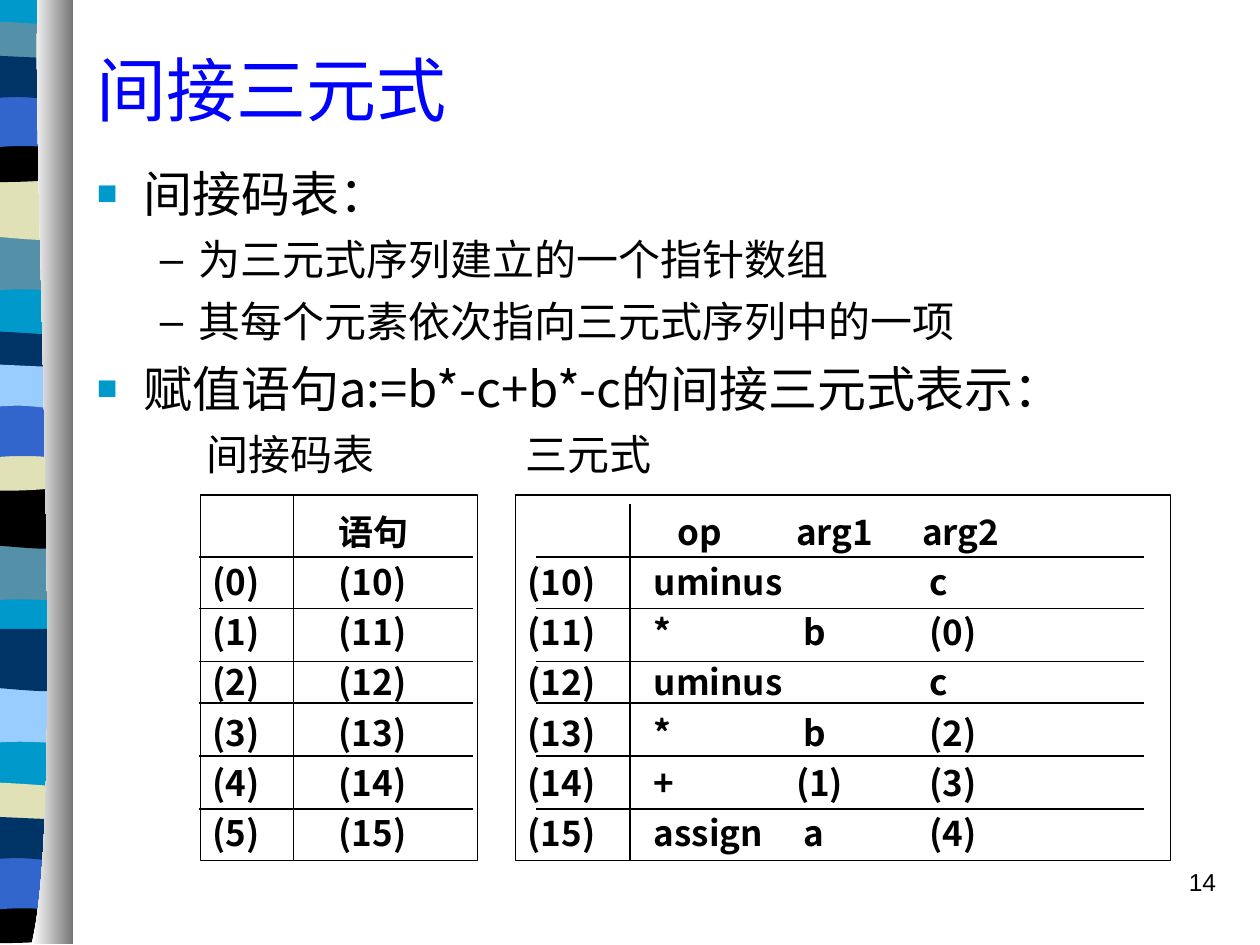
from lxml.etree import SubElement
from pptx import Presentation
from pptx.dml.color import RGBColor
from pptx.enum.shapes import MSO_CONNECTOR, MSO_SHAPE
from pptx.enum.text import MSO_ANCHOR, PP_ALIGN
from pptx.oxml.ns import qn
from pptx.util import Inches, Pt

CJK, LATIN = "Noto Sans CJK SC", "Arial"
BLACK = RGBColor(0x00, 0x00, 0x00)
WHITE = RGBColor(0xFF, 0xFF, 0xFF)
GREY = RGBColor(0x76, 0x76, 0x76)
BLUE = RGBColor(0x00, 0x00, 0xFF)
CYAN = RGBColor(0x00, 0x99, 0xCC)
STEEL = RGBColor(0x54, 0x90, 0xA8)
SAND = RGBColor(0xE1, 0xE1, 0xB7)
ROYAL = RGBColor(0x33, 0x66, 0xCC)
NAVY = RGBColor(0x00, 0x33, 0x66)
SKY = RGBColor(0x99, 0xCC, 0xFF)

TITLE = "间接三元式"
# level, text
OUTLINE = [
    (0, "间接码表："),
    (1, "为三元式序列建立的一个指针数组"),
    (1, "其每个元素依次指向三元式序列中的一项"),
    (0, "赋值语句a:=b*-c+b*-c的间接三元式表示："),
]
CAPTIONS = "\t间接码表\t三元式"
CAPTION_TABS = [0.87, 3.4]
# size, line pitch, space before, left margin, hanging indent, bullet, bullet colour, bullet percent
LEVELS = [
    (28, 33.5, 7, 0.37, -0.37, "■", CYAN, 70),
    (24, 29.4, 6, 0.81, -0.31, "–", BLACK, 100),
]

# Tab stops and cells of each grid row
HEAD_TABS, ROW_TABS, SUM_TABS = [1.19, 2.13, 3.13], [1.0, 2.19, 3.19], [1.0, 2.13, 3.19]
INDIRECT_ROWS = [([1.0], ["", "语句"])] + [([1.0], [f"({i})", f"({i + 10})"]) for i in range(6)]
TRIPLE_ROWS = [
    (HEAD_TABS, ["", "op", "arg1", "arg2"]),
    (ROW_TABS, ["(10)", "uminus", "", "c"]),
    (ROW_TABS, ["(11)", "*", "b", "(0)"]),
    (ROW_TABS, ["(12)", "uminus", "", "c"]),
    (ROW_TABS, ["(13)", "*", "b", "(2)"]),
    (SUM_TABS, ["(14)", "+", "(1)", "(3)"]),
    (ROW_TABS, ["(15)", "assign", "a", "(4)"]),
]
# left, width, rule start, rule end, divider x, divider top, rows
GRIDS = [
    (4.09, 5.2, 4.25, 9.08, 5.0, 4.0, TRIPLE_ROWS),
    (1.59, 2.2, 1.58, 3.75, 2.33, 3.92, INDIRECT_ROWS),
]
GRID_TOP, GRID_HEIGHT = 3.93, 2.9
RULES = [4.42, 4.83, 5.25, 5.58, 6.0, 6.42]

# Ribbon outlines: height, then Bezier curves of the lower and upper edges
LEFT, RIGHT = -0.53, 0.56
WAVES = {
    "swell": (0.47, [(-0.19, 0.39, -0.35, 0.55, LEFT, 0.47)], []),
    "flag": (0.47, [(0.37, 0.55, -0.19, 0.41, LEFT, 0.47)], []),
    "dome": (0.24, [(0.37, 0.28, -0.35, 0.28, LEFT, 0.24)],
             [(-0.46, -0.05, -0.29, -0.04, -0.11, -0.04), (0.07, -0.04, 0.42, -0.01, RIGHT, 0)]),
    "dip": (0.32, [(0.37, 0.38, -0.35, 0.38, LEFT, 0.32)],
            [(0.14, 0.05, 0.33, 0, RIGHT, 0)]),
    "arch": (0.47, [(0.39, 0.42, 0.32, 0.42, 0.14, 0.42),
                    (-0.04, 0.42, -0.36, 0.47, LEFT, 0.47)], []),
    "ribbon": (0.31, [(0.49, 0.36, 0.32, 0.31, 0.14, 0.31),
                      (-0.04, 0.31, -0.42, 0.36, LEFT, 0.31)],
               [(-0.38, -0.05, 0.21, 0, 0.39, 0), (0.57, 0, 0.52, 0, RIGHT, 0)]),
}
BANDS = [
    ("swell", 1.85, STEEL), ("flag", 1.41, SAND), ("dome", 0.21, STEEL),
    ("dip", 1.08, BLACK), ("arch", 0.74, ROYAL), ("ribbon", 0.46, NAVY),
    ("swell", 4.31, STEEL), ("flag", 3.86, BLACK), ("dome", 2.67, NAVY),
    ("dip", 3.53, SAND), ("arch", 3.2, ROYAL), ("ribbon", 2.91, SKY),
    ("swell", 5.44, SKY), ("flag", 4.99, NAVY), ("dome", 6.25, SAND),
    ("dip", 7.12, BLACK), ("arch", 6.79, ROYAL), ("ribbon", 6.5, NAVY),
]
# Segments hold two numbers for a line, six for a curve
EDGE = [(0.3, 0), (0.25, 1.25, 0.53, 6.46, 0.25, 7.49), (0.58, 7.49), (0.58, 0)]

prs = Presentation()
prs.slide_width, prs.slide_height = Inches(10), Inches(7.5)
slide = prs.slides.add_slide(prs.slide_layouts[6])
shapes = slide.shapes


def add_outline(segments, top=0):
    """Closed outline; the control points of each curve are laid as lines, then joined."""
    points = [seg[i:i + 2] for seg in segments for i in range(0, len(seg), 2)]
    start, *rest = [(Inches(x), Inches(y + top)) for x, y in points]
    builder = shapes.build_freeform(*start)
    builder.add_line_segments(rest, close=True)
    outline = builder.convert_to_shape()
    lines = iter(list(outline._element.iter(qn("a:lnTo"))))
    for segment in segments[1:]:
        first = next(lines)
        if len(segment) == 6:
            curve = first.makeelement(qn("a:cubicBezTo"))
            first.addprevious(curve)
            for line in (first, next(lines), next(lines)):
                curve.append(line[0])
                line.getparent().remove(line)
    outline.shadow.inherit = False
    outline.line.fill.background()
    return outline


def add_line(x1, y1, x2, y2):
    line = shapes.add_connector(MSO_CONNECTOR.STRAIGHT, *map(Inches, (x1, y1, x2, y2)))
    line.line.color.rgb, line.line.width = BLACK, Pt(0.75)
    SubElement(line._element.spPr, qn("a:effectLst"))


def add_text(left, top, width, height):
    frame = shapes.add_textbox(*map(Inches, (left, top, width, height))).text_frame
    frame.word_wrap = True
    return frame


def set_tabs(paragraph, stops):
    tabs = SubElement(paragraph._p.get_or_add_pPr(), qn("a:tabLst"))
    for stop in stops:
        SubElement(tabs, qn("a:tab"), pos=str(Inches(stop)), algn="l")


def style(paragraph, size, color=BLACK, font=CJK, bold=False):
    for run in paragraph.runs:
        run.font.size, run.font.name, run.font.bold = Pt(size), font, bold
        run.font.color.rgb = color
        SubElement(run._r.get_or_add_rPr(), qn("a:ea"), typeface=font)


# Wavy ribbon and shaded edge on the left
base = add_outline([(RIGHT, -0.01), (RIGHT, 7.47), (LEFT, 7.47), (LEFT, -0.01)])
base.fill.solid()
base.fill.fore_color.rgb = CYAN
for wave, top, color in BANDS:
    height, lower, upper = WAVES[wave]
    band = add_outline([(RIGHT, 0), (RIGHT, height), *lower, (LEFT, 0), *upper], top)
    band.fill.solid()
    band.fill.fore_color.rgb = color
edge = add_outline(EDGE)
edge.fill.gradient()
edge.fill.gradient_angle = 0
for stop, color in zip(edge.fill.gradient_stops, (WHITE, GREY)):
    stop.color.rgb = color

# Title
title = add_text(0.67, 0.08, 9.12, 1.25)
title.vertical_anchor = MSO_ANCHOR.MIDDLE
title.text = TITLE
style(title.paragraphs[0], 40, BLUE)

# Outline, closed by the captions of the two grids
body = add_text(0.67, 1.25, 9.12, 2.58)
for i, (level, text) in enumerate(OUTLINE):
    size, pitch, before, margin, indent, mark, mark_color, percent = LEVELS[level]
    item = body.paragraphs[0] if i == 0 else body.add_paragraph()
    item.text, item.level = text, level
    item.line_spacing, item.space_before = Pt(pitch), Pt(before if i else 0)
    props = item._p.get_or_add_pPr()
    props.set("marL", str(Inches(margin)))
    props.set("indent", str(Inches(indent)))
    SubElement(SubElement(props, qn("a:buClr")), qn("a:srgbClr"), val=str(mark_color))
    SubElement(props, qn("a:buSzPct"), val=str(percent * 1000))
    SubElement(props, qn("a:buFont"), typeface=LATIN)
    SubElement(props, qn("a:buChar"), char=mark)
    style(item, size)
captions = body.add_paragraph()
captions.text = CAPTIONS
captions.line_spacing, captions.space_before = Pt(LEVELS[1][1]), Pt(LEVELS[1][2])
set_tabs(captions, CAPTION_TABS)
style(captions, 24)

# Ruled grids
for left, width, start, end, divider, divider_top, rows in GRIDS:
    grid = shapes.add_shape(MSO_SHAPE.RECTANGLE, *map(Inches, (left, GRID_TOP, width, GRID_HEIGHT)))
    grid.shadow.inherit = False
    grid.fill.background()
    grid.line.color.rgb, grid.line.width = BLACK, Pt(0.75)
    frame = grid.text_frame
    frame.word_wrap, frame.vertical_anchor = True, MSO_ANCHOR.MIDDLE
    frame.text = "\n".join("\t".join(cells) for _, cells in rows)
    for row, (tabs, _) in zip(frame.paragraphs, rows):
        row.alignment, row.line_spacing = PP_ALIGN.LEFT, Pt(28.75)
        set_tabs(row, tabs)
        style(row, 20, bold=True)
    for y in RULES:
        add_line(start, y, end, y)
    add_line(divider, divider_top, divider, GRID_TOP + GRID_HEIGHT)

# Slide number
number = add_text(7.67, 6.83, 2.08, 0.5)
number.text = "14"
number.paragraphs[0].alignment = PP_ALIGN.RIGHT
style(number.paragraphs[0], 14, font=LATIN)

prs.save("out.pptx")
